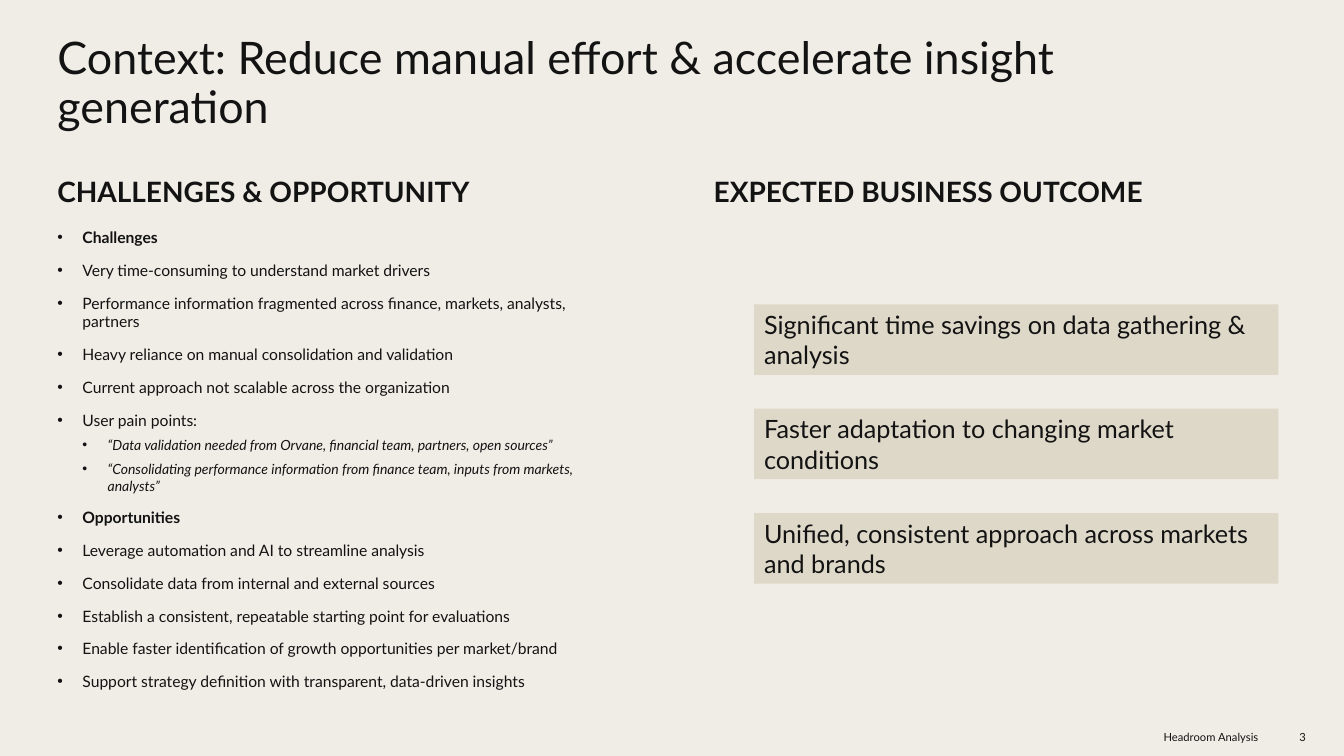
from lxml import etree
from pptx import Presentation
from pptx.dml.color import RGBColor
from pptx.enum.shapes import MSO_SHAPE
from pptx.enum.text import MSO_ANCHOR, MSO_AUTO_SIZE, PP_ALIGN
from pptx.oxml.ns import qn
from pptx.util import Inches, Pt

TOP, MIDDLE, BOTTOM = MSO_ANCHOR.TOP, MSO_ANCHOR.MIDDLE, MSO_ANCHOR.BOTTOM
LEFT, RIGHT = PP_ALIGN.LEFT, PP_ALIGN.RIGHT
INK, PAPER, SAND = "131313", "F0EDE6", "DED8C9"
LEFT_COLUMN, RIGHT_COLUMN, COLUMN_WIDTH = 0.47, 6.98, 5.7

HEADING, POINT, QUOTE = "heading", "point", "quote"
challenges_and_opportunities = [
    (HEADING, "Challenges"),
    (POINT, "Very time-consuming to understand market drivers"),
    (POINT, "Performance information fragmented across finance, markets, analysts, partners"),
    (POINT, "Heavy reliance on manual consolidation and validation"),
    (POINT, "Current approach not scalable across the organization"),
    (POINT, "User pain points:"),
    (QUOTE, "“Data validation needed from Orvane, financial team, partners, open sources”"),
    (QUOTE, "“Consolidating performance information from finance team, inputs from markets, analysts”"),
    (HEADING, "Opportunities"),
    (POINT, "Leverage automation and AI to streamline analysis"),
    (POINT, "Consolidate data from internal and external sources"),
    (POINT, "Establish a consistent, repeatable starting point for evaluations"),
    (POINT, "Enable faster identification of growth opportunities per market/brand"),
    (POINT, "Support strategy definition with transparent, data-driven insights"),
]
outcomes = [
    "Significant time savings on data gathering & analysis",
    "Faster adaptation to changing market conditions",
    "Unified, consistent approach across markets and brands",
]


def rgb(hex_color):
    return RGBColor.from_string(hex_color)


def write(shape, text, size, anchor, bold=False, align=LEFT, line_spacing=None):
    """Fill a shape with one formatted paragraph and return its text frame."""
    frame = shape.text_frame
    frame.word_wrap = True
    frame.auto_size = MSO_AUTO_SIZE.NONE
    frame.vertical_anchor = anchor
    paragraph = frame.paragraphs[0]
    paragraph.text = text
    paragraph.alignment = align
    paragraph.line_spacing = line_spacing
    font = paragraph.font
    font.name, font.size, font.bold = "Lato", Pt(size), bold
    font.color.rgb = rgb(INK)
    return frame


prs = Presentation()
prs.slide_width, prs.slide_height = Inches(13.33), Inches(7.5)
slide = prs.slides.add_slide(prs.slide_layouts[5])
slide.background.fill.solid()
slide.background.fill.fore_color.rgb = rgb(PAPER)

title = slide.shapes.title
title.left, title.top = Inches(LEFT_COLUMN), Inches(0.3)
title.width, title.height = Inches(12.21), Inches(1.07)
write(title, "Context: Reduce manual effort & accelerate insight generation",
      32, BOTTOM, line_spacing=0.9)

for column, heading in [(LEFT_COLUMN, "CHALLENGES & OPPORTUNITY"),
                        (RIGHT_COLUMN, "EXPECTED BUSINESS OUTCOME")]:
    column_heading = slide.shapes.add_textbox(
        Inches(column), Inches(1.51), Inches(COLUMN_WIDTH), Inches(0.61))
    write(column_heading, heading, 20, BOTTOM, bold=True, line_spacing=0.9)

# Bulleted list
bullet_list = slide.shapes.add_textbox(
    Inches(LEFT_COLUMN), Inches(2.21), Inches(COLUMN_WIDTH), Inches(4.75))
list_frame = bullet_list.text_frame
list_frame.word_wrap = True
for index, (role, text) in enumerate(challenges_and_opportunities):
    item = list_frame.add_paragraph() if index else list_frame.paragraphs[0]
    item.text = text
    item.level = 1 if role == QUOTE else 0
    if index:
        item.space_before = Pt(5 if role == QUOTE else 10)
    properties = item._p.get_or_add_pPr()
    properties.set("marL", str(Inches(0.25 * (item.level + 1))))
    properties.set("indent", str(Inches(-0.25)))
    etree.SubElement(properties, qn("a:buFont"), typeface="Arial")
    etree.SubElement(properties, qn("a:buChar"), char="•")
    item.font.name = "Lato"
    item.font.size = Pt(10 if role == QUOTE else 11.2)
    item.font.bold = role == HEADING
    item.font.italic = role == QUOTE
    item.font.color.rgb = rgb(INK)

# Outcome cards
for index, outcome in enumerate(outcomes):
    card = slide.shapes.add_shape(
        MSO_SHAPE.RECTANGLE, Inches(7.48), Inches(3.02 + 1.035 * index),
        Inches(5.2), Inches(0.7))
    card.shadow.inherit = False
    card.fill.solid()
    card.fill.fore_color.rgb = rgb(SAND)
    card.line.fill.background()
    write(card, outcome, 18, MIDDLE)

# Footer
for left, width, text in [(9.69, 2.89, "Headroom Analysis"), (12.55, 0.5, "3")]:
    footer = slide.shapes.add_textbox(
        Inches(left), Inches(7.13), Inches(width), Inches(0.37))
    write(footer, text, 8, MIDDLE, align=RIGHT)

prs.save("out.pptx")
